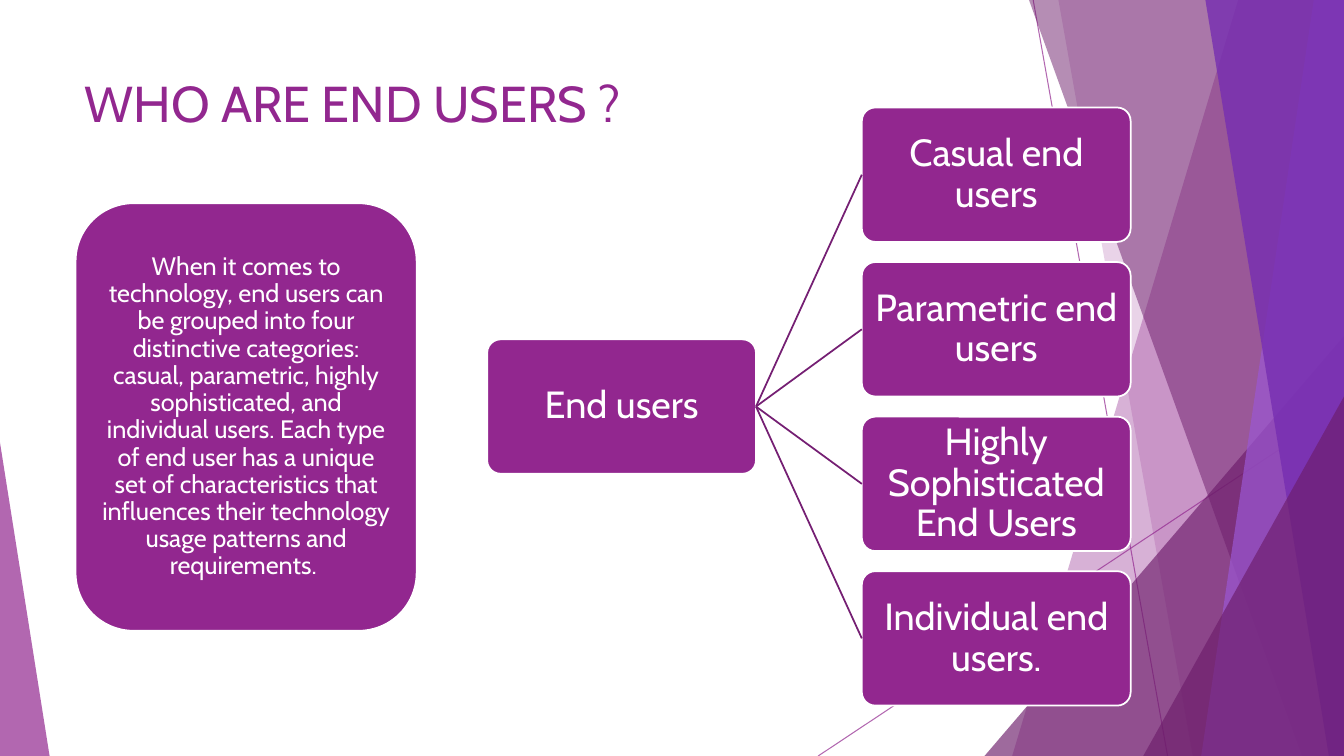
from pptx import Presentation
from pptx.dml.color import RGBColor
from pptx.enum.shapes import MSO_CONNECTOR as Connector, MSO_SHAPE as Shape
from pptx.enum.text import MSO_ANCHOR as Anchor, PP_ALIGN as Align
from pptx.oxml.ns import qn
from pptx.util import Inches, Pt

COLUMNS, ROWS = 160, 90
PURPLE, PLUM, DEEP_PLUM = "92278F", "751F73", "6D1D6B"
LILAC, VIOLET, WHITE = "9B57D3", "762EB1", "FFFFFF"
RIGHT_SIDE, LEFT_SIDE = 3, 1


def color(hex_code):
    return RGBColor.from_string(hex_code)


def set_opacity(item, percent):
    for srgb in item.element.xpath("./p:spPr//a:srgbClr"):
        alpha = srgb.makeelement(qn("a:alpha"), {"val": str(percent * 1000)})
        srgb.append(alpha)


def write(frame, text, size, fill=WHITE, align=Align.CENTER, anchor=Anchor.MIDDLE,
          spacing=0.9, inset=(0.02, 0.02)):
    """Put one paragraph in a frame; inset is (sides, top and bottom) in inches."""
    frame.word_wrap = True
    frame.vertical_anchor = anchor
    frame.margin_left = frame.margin_right = Inches(inset[0])
    frame.margin_top = frame.margin_bottom = Inches(inset[1])
    paragraph = frame.paragraphs[0]
    paragraph.alignment = align
    paragraph.line_spacing = spacing
    run = paragraph.add_run()
    run.text = text
    run.font.name = "Cabin"
    run.font.size = Pt(size)
    run.font.color.rgb = color(fill)


class Deck:
    """Draws on one slide, with every length in columns and rows of the grid."""

    def __init__(self):
        self.presentation = Presentation()
        self.presentation.slide_width = Inches(13.33)
        self.presentation.slide_height = Inches(7.5)
        self.column = self.presentation.slide_width / COLUMNS
        self.row = self.presentation.slide_height / ROWS
        blank = self.presentation.slide_layouts[6]
        self.shapes = self.presentation.slides.add_slide(blank).shapes

    def place(self, *lengths):
        """Turn alternating columns and rows into slide units."""
        units = (self.column, self.row)
        return [round(length * units[i % 2]) for i, length in enumerate(lengths)]

    def tint(self, panel, fill, opacity):
        panel.shadow.inherit = False
        panel.fill.solid()
        panel.fill.fore_color.rgb = color(fill)
        panel.line.fill.background()
        set_opacity(panel, opacity)

    def facet(self, top, bottom, fill, opacity):
        """Fill the area right of a slanted edge from the slide's top to its bottom."""
        outline = self.shapes.build_freeform(*self.place(top, 0), scale=1.0)
        corners = [(COLUMNS, 0), (COLUMNS, ROWS), (bottom, ROWS)]
        outline.add_line_segments([self.place(*corner) for corner in corners])
        self.tint(outline.convert_to_shape(), fill, opacity)

    def wedge(self, left, top, width, apex, fill, opacity):
        """Stand a triangle on the slide's bottom edge."""
        area = self.place(left, top, width, ROWS - top)
        triangle = self.shapes.add_shape(Shape.ISOSCELES_TRIANGLE, *area)
        triangle.adjustments[0] = apex
        self.tint(triangle, fill, opacity)

    def line(self, ends=(0, 0, 0, 0), stroke=PURPLE, width=0.75, opacity=100):
        rule = self.shapes.add_connector(Connector.STRAIGHT, *self.place(*ends))
        rule.line.color.rgb = color(stroke)
        rule.line.width = Pt(width)
        properties = rule.element.spPr
        properties.append(properties.makeelement(qn("a:effectLst"), {}))
        if opacity < 100:
            set_opacity(rule, opacity)
        return rule

    def link(self, parent, child):
        branch = self.line(stroke=PLUM, width=1.25)
        branch.begin_connect(parent, RIGHT_SIDE)
        branch.end_connect(child, LEFT_SIDE)

    def card(self, area, text, size=27, rounding=0.1, **text_format):
        box = self.shapes.add_shape(Shape.ROUNDED_RECTANGLE, *self.place(*area))
        box.adjustments[0] = rounding
        box.shadow.inherit = False
        box.fill.solid()
        box.fill.fore_color.rgb = color(PURPLE)
        box.line.color.rgb = color(WHITE)
        box.line.width = Pt(1.25)
        write(box.text_frame, text, size, **text_format)
        return box

    def title(self, area, text):
        heading = self.shapes.add_textbox(*self.place(*area))
        write(heading.text_frame, text, 36, fill=PURPLE, align=Align.LEFT,
              anchor=Anchor.TOP, spacing=1.0, inset=(0.1, 0.05))


def draw_backdrop(deck):
    deck.line((123, 0, 139, ROWS), opacity=70)
    deck.line((COLUMNS, 48.4, 97.4, ROWS), opacity=70)
    deck.facet(147.4, 120.5, PURPLE, 36)
    deck.facet(126, 142, PURPLE, 20)
    deck.wedge(117.2, 40, 42.8, 1, DEEP_PLUM, 66)
    deck.facet(122.5, 155, DEEP_PLUM, 50)
    deck.facet(156.4, 143, LILAC, 70)
    deck.facet(143.5, 158.2, VIOLET, 80)
    deck.wedge(136.1, 47.2, 23.9, 1, DEEP_PLUM, 66)
    deck.wedge(0, 52.7, 5.9, 0, PURPLE, 70)


def draw_user_tree(deck):
    card_width, card_height, pitch = 32, 16, 18.4
    branch_left, branch_top = 102.6, 12.8
    kinds = ["Casual end users", "Parametric end users",
             "Highly Sophisticated End Users", "Individual end users."]
    root_top = branch_top + pitch * (len(kinds) - 1) / 2
    root = deck.card((58, root_top, card_width, card_height), "End users")
    for i, kind in enumerate(kinds):
        area = (branch_left, branch_top + i * pitch, card_width, card_height)
        deck.link(root, deck.card(area, kind))


def main():
    deck = Deck()
    draw_backdrop(deck)
    deck.title((8.9, 8, 112.8, 17.3), "WHO ARE END USERS ?")
    deck.card((9, 24.2, 40.6, 50.9),
              "When it comes to technology, end users can be grouped into four "
              "distinctive categories: casual, parametric, highly sophisticated, "
              "and individual users. Each type of end user has a unique set of "
              "characteristics that influences their technology usage patterns "
              "and requirements. ",
              size=18, rounding=0.17, inset=(0.07, 0.04))
    draw_user_tree(deck)
    deck.presentation.save("out.pptx")


if __name__ == "__main__":
    main()
